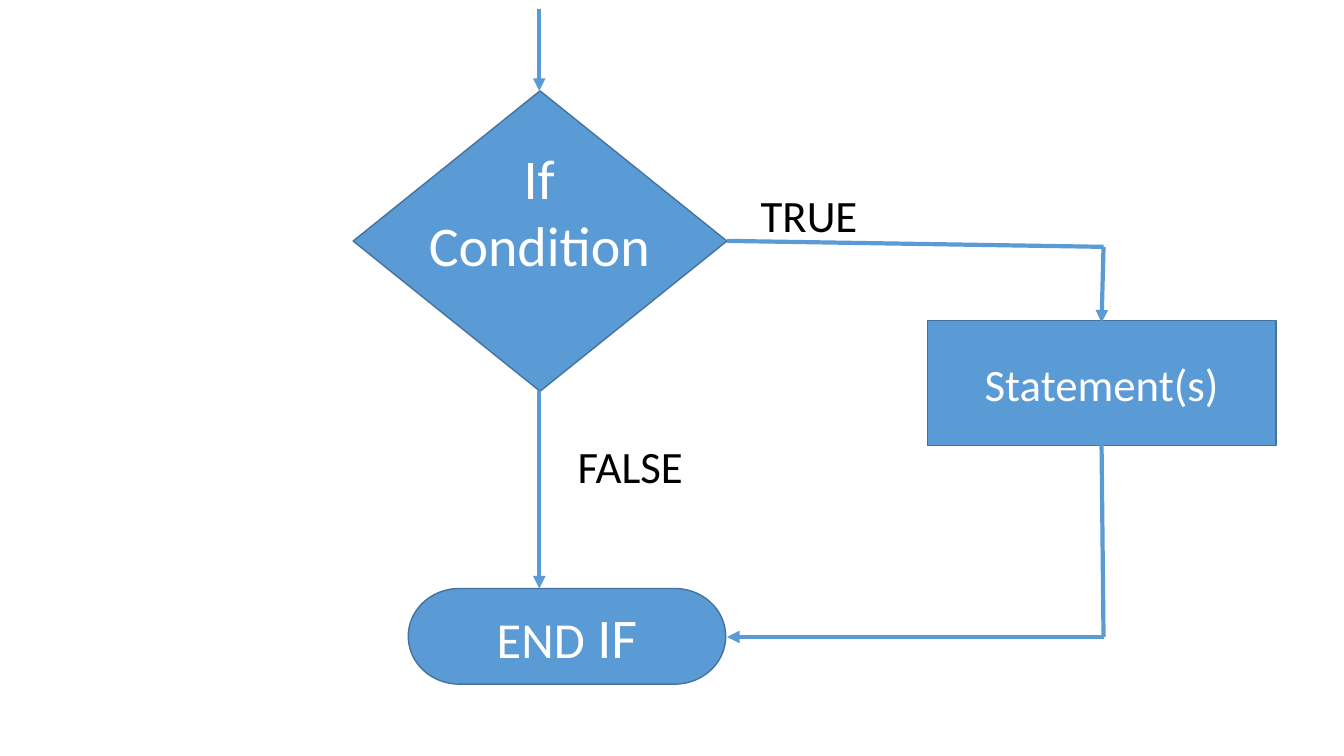
from lxml import etree
from pptx import Presentation
from pptx.dml.color import RGBColor
from pptx.enum.shapes import MSO_CONNECTOR, MSO_SHAPE
from pptx.enum.text import MSO_ANCHOR, MSO_AUTO_SIZE, PP_ALIGN
from pptx.oxml.ns import qn
from pptx.util import Cm, Pt

DECISION = MSO_SHAPE.FLOWCHART_DECISION
PROCESS = MSO_SHAPE.FLOWCHART_PROCESS
TERMINATOR = MSO_SHAPE.FLOWCHART_TERMINATOR
STRAIGHT = MSO_CONNECTOR.STRAIGHT
CENTER = PP_ALIGN.CENTER
MIDDLE = MSO_ANCHOR.MIDDLE
GROW = MSO_AUTO_SIZE.SHAPE_TO_FIT_TEXT

FONT = "Calibri"
COLORS = {"blue": "5B9BD5", "outline": "43739E", "white": "FFFFFF", "black": "000000"}


def color(name):
    return RGBColor.from_string(COLORS[name])


def write(text_frame, pieces, color_name):
    paragraph = text_frame.paragraphs[0]
    paragraph.alignment = CENTER
    for text, size in pieces:
        if paragraph.runs:
            paragraph.add_run().text = text
            runs = paragraph.runs[-1:]
        else:
            paragraph.text = text
            runs = paragraph.runs
        for run in runs:
            run.font.name = FONT
            run.font.size = Pt(size)
            run.font.color.rgb = color(color_name)


def add_node(slide, kind, box, pieces=()):
    shape = slide.shapes.add_shape(kind, *map(Cm, box))
    shape.shadow.inherit = False
    shape.fill.solid()
    shape.fill.fore_color.rgb = color("blue")
    shape.line.color.rgb = color("outline")
    shape.line.width = Pt(1)
    shape.text_frame.vertical_anchor = MIDDLE
    write(shape.text_frame, pieces, "white")


def add_label(slide, box, text, size, color_name, wrap=True):
    text_frame = slide.shapes.add_textbox(*map(Cm, box)).text_frame
    text_frame.word_wrap = wrap
    text_frame.auto_size = GROW
    write(text_frame, [(text, size)], color_name)


def add_flow(slide, *points):
    for start, end in zip(points, points[1:]):
        connector = slide.shapes.add_connector(STRAIGHT, *map(Cm, start + end))
        connector.line.color.rgb = color("blue")
        connector.line.width = Pt(3)
        properties = connector._element.spPr
        if end == points[-1]:
            line = properties.find(qn("a:ln"))
            etree.SubElement(line, qn("a:tailEnd"), type="triangle")
        etree.SubElement(properties, qn("a:effectLst"))


def main():
    presentation = Presentation()
    presentation.slide_width = Cm(33.87)
    presentation.slide_height = Cm(19.05)
    slide = presentation.slides.add_slide(presentation.slide_layouts[6])

    add_node(slide, DECISION, (8.9, 2.29, 9.42, 7.57))
    add_node(slide, PROCESS, (23.37, 8.08, 8.79, 3.15), [("Statement(s)", 32)])
    add_node(slide, TERMINATOR, (10.29, 14.83, 8, 2.41), [("END", 36), (" IF", 40)])

    add_flow(slide, (13.59, 0.23), (13.59, 2.29))
    add_flow(slide, (13.59, 9.86), (13.59, 14.83))
    add_flow(slide, (18.32, 6.07), (27.81, 6.22), (27.76, 8.13))
    add_flow(slide, (27.76, 11.2), (27.81, 16.05), (18.32, 16.05))

    add_label(slide, (18.32, 4.6, 4.14, 1.62), "TRUE", 32, "black")
    add_label(slide, (13.46, 10.92, 4.85, 1.62), "FALSE", 32, "black")
    add_label(slide, (9.4, 3.48, 8.38, 3.68), "If\vCondition", 40, "white", wrap=False)

    presentation.save("out.pptx")


main()
